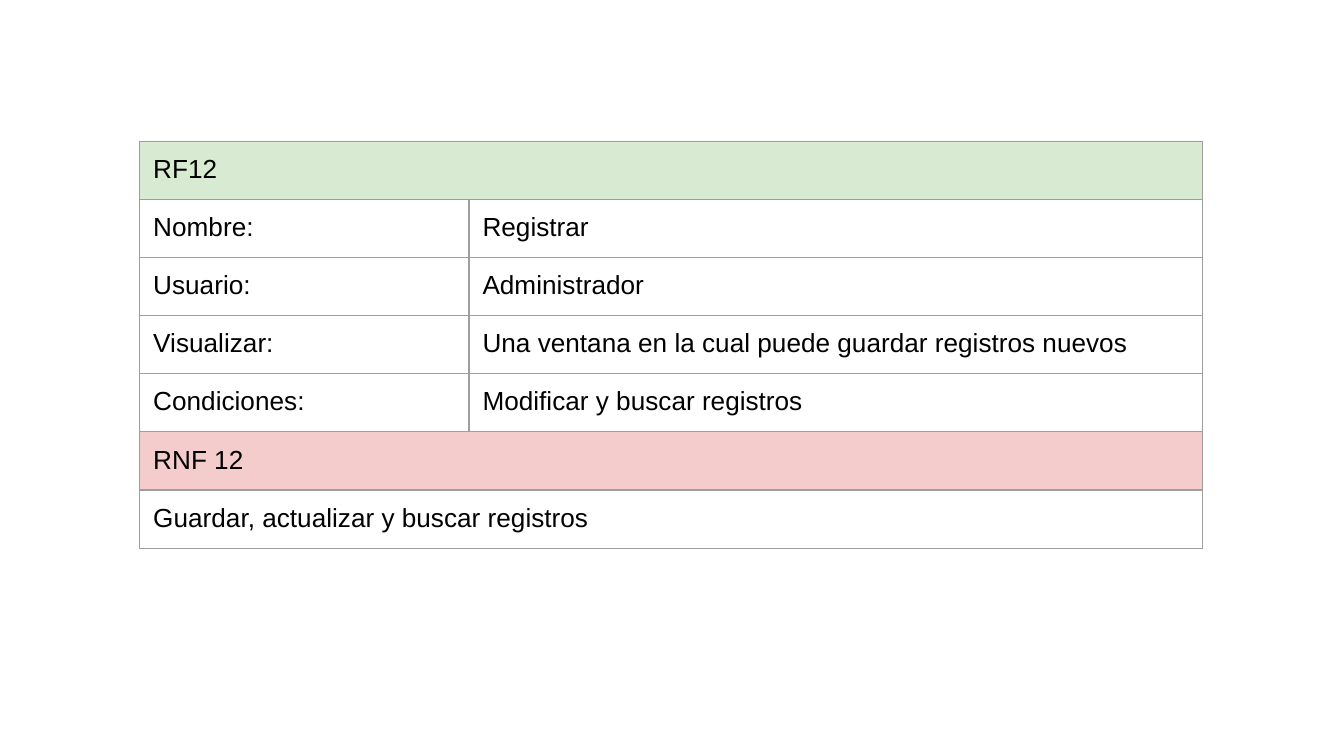
from lxml import etree
from pptx import Presentation
from pptx.dml.color import RGBColor
from pptx.oxml.ns import qn
from pptx.util import Inches, Pt

# Content: (cell texts, row fill); a single text spans both columns
ROWS = [
    (["RF12"], "D9EAD3"),
    (["Nombre:", "Registrar"], None),
    (["Usuario:", "Administrador"], None),
    (["Visualizar:", "Una ventana en la cual puede guardar registros nuevos"], None),
    (["Condiciones:", "Modificar y buscar registros"], None),
    (["RNF 12"], "F4CCCC"),
    (["Guardar, actualizar y buscar registros"], None),
]
COLUMNS = [2.45, 5.46]
LEFT, TOP, HEIGHT = 1.04, 1.05, 3.03
MARGIN = Inches(0.1)
BORDER = "9E9E9E"


def rgb(value):
    return RGBColor.from_string(value)


def set_borders(cell):
    tc_pr = cell._tc.get_or_add_tcPr()
    for side in ("a:lnL", "a:lnR", "a:lnT", "a:lnB"):
        line = etree.SubElement(tc_pr, qn(side), w=str(Pt(0.75)))
        fill = etree.SubElement(line, qn("a:solidFill"))
        etree.SubElement(fill, qn("a:srgbClr"), val=BORDER)


def format_cell(cell, color):
    set_borders(cell)
    if color:
        cell.fill.solid()
        cell.fill.fore_color.rgb = rgb(color)
    else:
        cell.fill.background()
    cell.margin_left = cell.margin_right = MARGIN
    cell.margin_top = cell.margin_bottom = MARGIN
    font = cell.text_frame.paragraphs[0].font
    font.name, font.size = "Arial", Pt(14)
    font.color.rgb = rgb("000000")


# Widescreen 16:9 slide
prs = Presentation()
prs.slide_width = Inches(10)
prs.slide_height = prs.slide_width * 9 // 16
s = prs.slides.add_slide(prs.slide_layouts[6])

# Requirements table
table = s.shapes.add_table(
    len(ROWS), len(COLUMNS), Inches(LEFT), Inches(TOP),
    Inches(sum(COLUMNS)), Inches(HEIGHT),
).table
table.first_row = table.horz_banding = False
for column, width in zip(table.columns, COLUMNS):
    column.width = Inches(width)

for row, (texts, color) in enumerate(ROWS):
    for col, text in enumerate(texts):
        table.cell(row, col).text = text
    for cell in table.rows[row].cells:
        format_cell(cell, color)
    if len(texts) == 1:
        table.cell(row, 0).merge(table.cell(row, len(COLUMNS) - 1))

prs.save("out.pptx")
